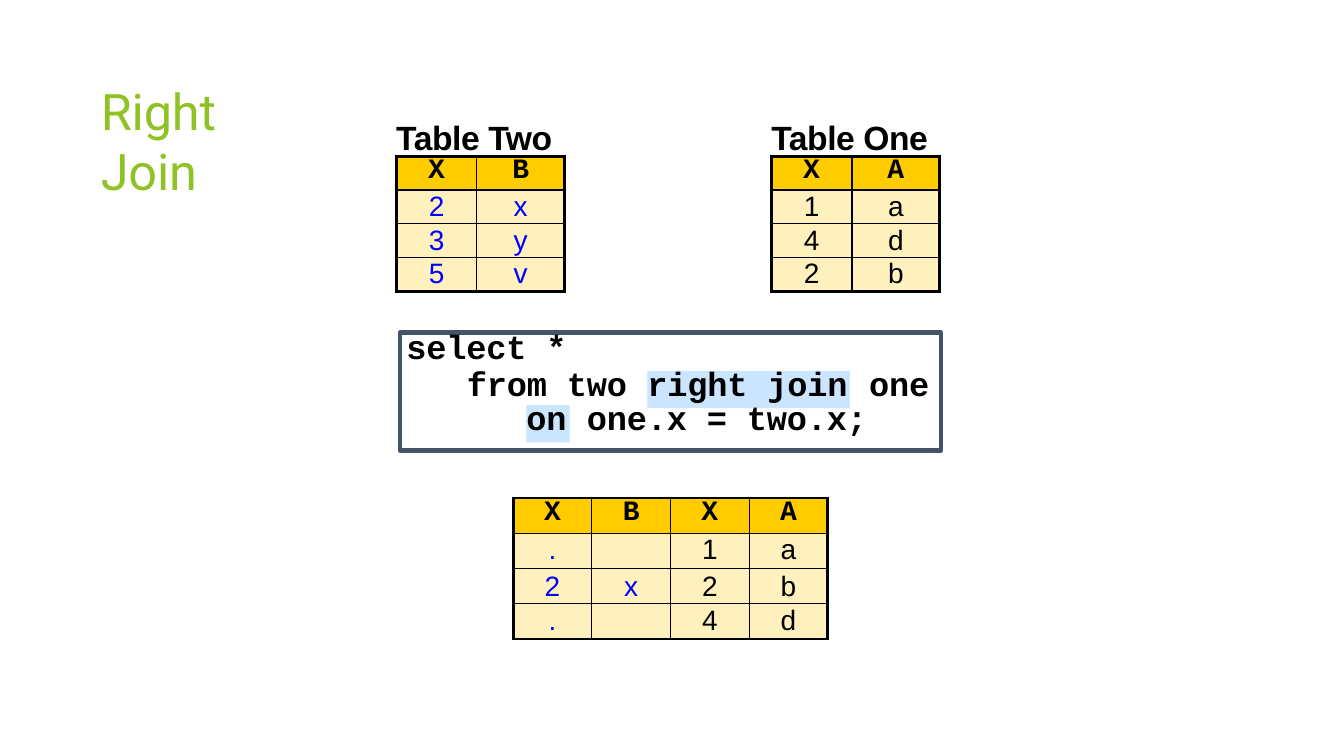
"""Builds a slide that explains a SQL right join with three small tables."""
from lxml import etree
from pptx import Presentation
from pptx.dml.color import RGBColor
from pptx.enum.shapes import MSO_SHAPE
from pptx.enum.text import MSO_ANCHOR, PP_ALIGN
from pptx.oxml.ns import qn
from pptx.util import Inches, Pt

RECT = MSO_SHAPE.RECTANGLE
TOP = MSO_ANCHOR.TOP
LEFT, CENTER = PP_ALIGN.LEFT, PP_ALIGN.CENTER
BLACK, BLUE, GREEN = "000000", "0000FF", "90C226"
GOLD, CREAM, SKY, SLATE = "FFCC00", "FFF1BD", "99CCFF", "44536A"
MONO, SANS = "Courier New", "Arial"


def paint(fill, tint):
    fill.solid()
    fill.fore_color.rgb = RGBColor.from_string(tint)


def write(frame, text, size=24, face=MONO, tint=BLACK, bold=True,
          align=LEFT, lead=None, space=-10, step=0, top=0.01, wrap=False):
    frame.word_wrap = wrap
    frame.vertical_anchor = TOP
    frame.margin_left = frame.margin_right = frame.margin_bottom = 0
    frame.margin_top = Inches(top)
    for i, line in enumerate(text.split("\n")):
        para = frame.paragraphs[0] if i == 0 else frame.add_paragraph()
        para.alignment = align
        if lead:
            para.line_spacing = Pt(lead)
        if step and i:
            para._p.get_or_add_pPr().set("marL", str(Inches(step * i)))
        run = para.add_run()
        run.text = line
        run.font.size = Pt(size)
        run.font.name = face
        run.font.bold = bold
        paint(run.font.fill, tint)
        run._r.get_or_add_rPr().set("spc", str(space))


deck = Presentation()
deck.slide_width, deck.slide_height = Inches(13.33), Inches(7.5)
slide = deck.slides.add_slide(deck.slide_layouts[6])
shapes = slide.shapes

frame = shapes.add_shape(RECT, Inches(3.97), Inches(3.3), Inches(5.36), Inches(1.17))
frame.shadow.inherit = False
frame.fill.background()
paint(frame.line.fill, SLATE)
frame.line.width = Pt(3)

marks = [
    ("right join", 6.42, 3.68, 2.01),
    ("on", 5.22, 4.02, 0.43),
]
for text, x, y, wide in marks:
    mark = shapes.add_shape(RECT, Inches(x), Inches(y), Inches(wide), Inches(0.37))
    mark.shadow.inherit = False
    mark.line.fill.background()
    paint(mark.fill, SKY)
    color = mark._element.spPr.find(qn("a:solidFill"))[0]
    etree.SubElement(color, qn("a:alpha")).set("val", "50000")
    write(mark.text_frame, text, lead=23.2, top=0)

head = dict(face=SANS, space=-30)
labels = [
    ("Right Join", 1, 0.78, 1.8, 0.58,
     dict(size=36, face="Roboto", tint=GREEN, bold=False, wrap=True)),
    ("Table Two", 3.93, 1.15, 1.61, 0.43, head),
    ("Table One", 7.65, 1.15, 1.61, 0.43, head),
    ("select *\nfrom two", 4.03, 3.25, 2.21, 0.77, dict(lead=26.6, step=0.6)),
    ("one", 8.62, 3.59, 0.61, 0.43, {}),
    ("one.x = two.x;", 5.82, 3.93, 2.81, 0.43, {}),
]
for text, x, y, wide, high, style in labels:
    box = shapes.add_textbox(Inches(x), Inches(y), Inches(wide), Inches(high))
    write(box.text_frame, text, **style)

tables = [
    (3.93, 1.55, [0.8, 0.87], 1.34, ["XB", "2x", "3y", "5v"], 2, [21.8, 23.1, 23.2, 23]),
    (7.65, 1.55, [0.8, 0.87], 1.34, ["XA", "1a", "4d", "2b"], 0, [21.6, 23, 23, 23]),
    (5.09, 4.94, [0.78] * 4, 1.4, ["XBXA", ". 1a", "2x2b", ". 4d"], 2, [22.2, 23, 24, 23]),
]
for x, y, wides, high, rows, blues, leads in tables:
    count, span = len(rows), len(wides)
    grid = shapes.add_table(count, span, Inches(x), Inches(y),
                            Inches(sum(wides)), Inches(high)).table
    grid.first_row = grid.horz_banding = False
    for col, wide in zip(grid.columns, wides):
        col.width = Inches(wide)
    for r, row in enumerate(rows):
        for c, text in enumerate(row):
            cell = grid.cell(r, c)
            cell.margin_left = cell.margin_right = 0
            cell.margin_top = cell.margin_bottom = 0
            edges = {"L": c == 0, "R": c == span - 1, "T": r == 0, "B": r == count - 1}
            for side, outer in edges.items():
                edge = etree.SubElement(cell._tc.get_or_add_tcPr(), qn("a:ln" + side))
                edge.set("w", str(Pt(2.25 if outer else 1)))
                ink = etree.SubElement(edge, qn("a:solidFill"))
                etree.SubElement(ink, qn("a:srgbClr")).set("val", BLACK)
            paint(cell.fill, CREAM if r else GOLD)
            if text != " ":
                write(cell.text_frame, text, size=20, face=SANS if r else MONO,
                      tint=BLUE if r and c < blues else BLACK, bold=r == 0,
                      align=CENTER, lead=leads[r], space=0, top=0)

deck.save("out.pptx")
